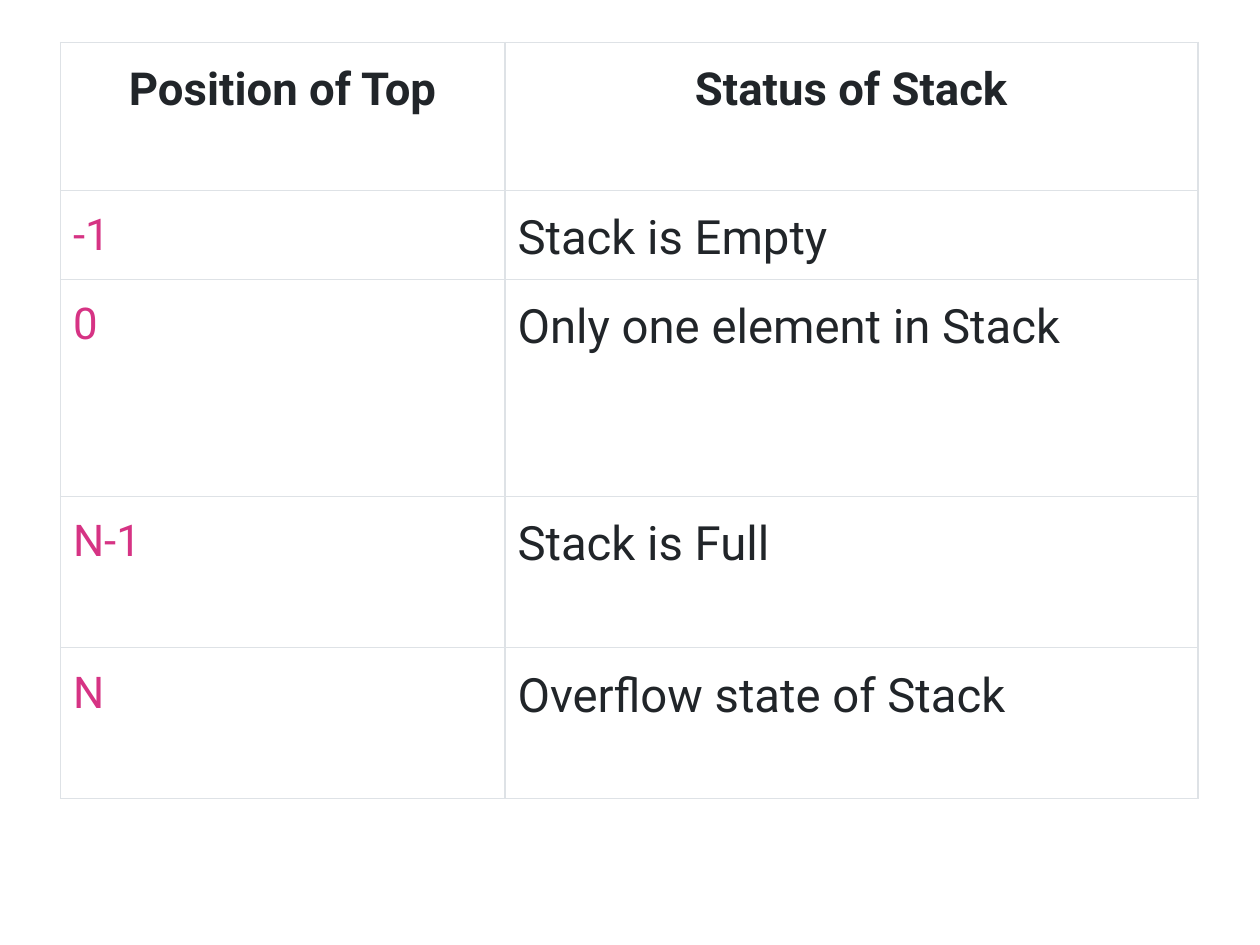
"""Build a slide with a table of stack states by position of top."""
from dataclasses import dataclass

from lxml import etree
from pptx import Presentation
from pptx.dml.color import RGBColor
from pptx.enum import text
from pptx.oxml import ns
from pptx.table import _Cell
from pptx.util import Pt

FONT = "Roboto"
INK, PINK, WHITE, GRID = "212529", "D63384", "FFFFFF", "DEE2E6"
LEFT, TOP = 34.56, 24.3
COLUMN_WIDTHS = (254, 396)


@dataclass
class Style:
    size: float
    color: str
    bold: bool = False
    align: text.PP_ALIGN = text.PP_ALIGN.LEFT


@dataclass
class Row:
    top: str
    status: str
    height: float
    styles: tuple[Style, Style]


HEADER = Style(26, INK, True, text.PP_ALIGN.CENTER)
BODY = (Style(25, PINK), Style(27, INK))

ROWS = (
    Row("Position of Top", "Status of Stack", 84.4, (HEADER, HEADER)),
    Row("-1", "Stack is Empty", 44.6, BODY),
    Row("0", "Only one element in Stack", 124, BODY),
    Row("N-1", "Stack is Full", 86.4, BODY),
    Row("N", "Overflow state of Stack", 86.4, BODY),
)


def rgb(color: str) -> RGBColor:
    return RGBColor.from_string(color)


def add_borders(cell: _Cell, color: str, width: float) -> None:
    tc_pr = cell._tc.get_or_add_tcPr()
    for side in ("a:lnL", "a:lnR", "a:lnT", "a:lnB"):
        ln = etree.SubElement(tc_pr, ns.qn(side), w=str(Pt(width)))
        fill = etree.SubElement(ln, ns.qn("a:solidFill"))
        etree.SubElement(fill, ns.qn("a:srgbClr"), val=color)


def fill_cell(cell: _Cell, content: str, style: Style) -> None:
    add_borders(cell, GRID, 0.75)
    cell.fill.solid()
    cell.fill.fore_color.rgb = rgb(WHITE)
    cell.margin_left = cell.margin_right = Pt(7.2)
    cell.margin_top = cell.margin_bottom = Pt(7.2)
    p = cell.text_frame.paragraphs[0]
    p.text = content
    p.alignment = style.align
    p.line_spacing = 1.15
    p.font.name = FONT
    p.font.size = Pt(style.size)
    p.font.bold = style.bold
    p.font.color.rgb = rgb(style.color)


def main() -> None:
    prs = Presentation()
    prs.slide_width, prs.slide_height = Pt(720), Pt(540)
    s = prs.slides.add_slide(prs.slide_layouts[6])
    width, height = sum(COLUMN_WIDTHS), sum(row.height for row in ROWS)
    table = s.shapes.add_table(
        len(ROWS), len(COLUMN_WIDTHS), Pt(LEFT), Pt(TOP), Pt(width), Pt(height)
    ).table
    for column, column_width in zip(table.columns, COLUMN_WIDTHS):
        column.width = Pt(column_width)
    for i, row in enumerate(ROWS):
        table.rows[i].height = Pt(row.height)
        for j, content in enumerate((row.top, row.status)):
            fill_cell(table.cell(i, j), content, row.styles[j])
    prs.save("out.pptx")


if __name__ == "__main__":
    main()
